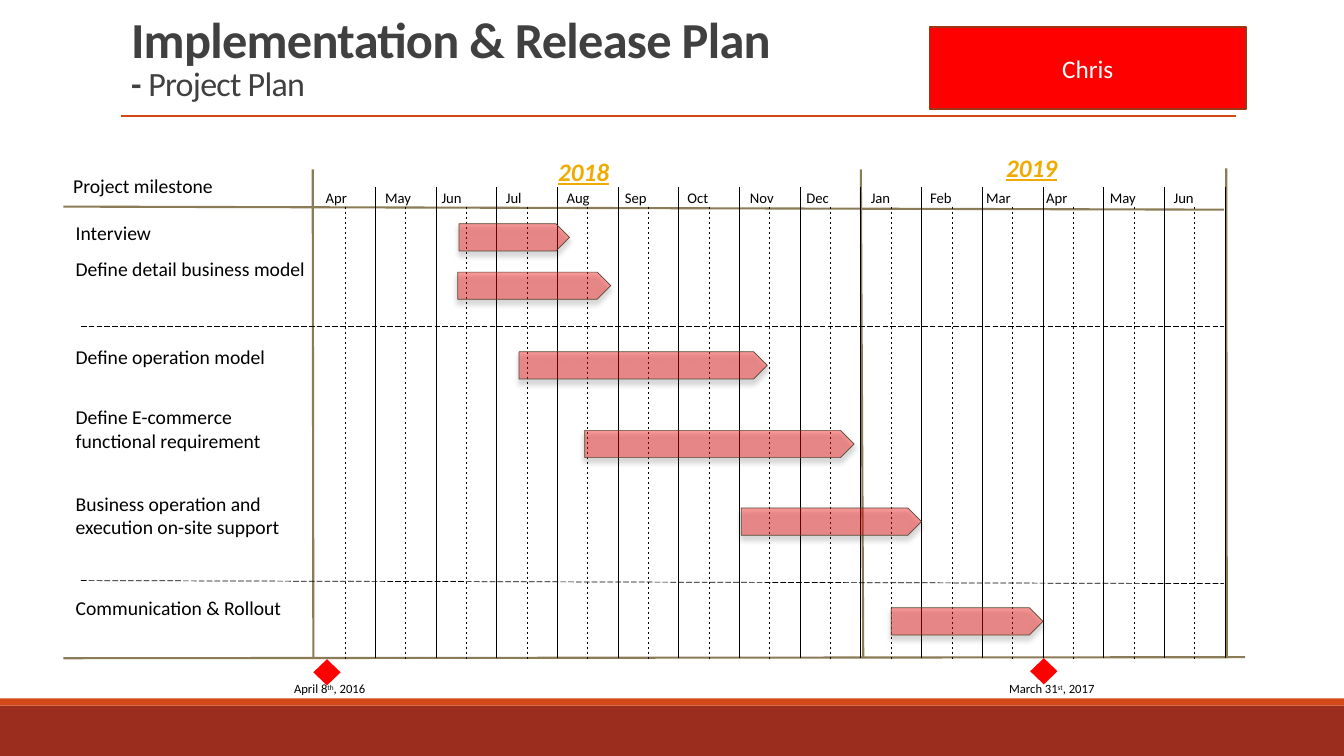
from copy import deepcopy
from dataclasses import dataclass

from lxml import etree
from pptx import Presentation, util as u
from pptx.dml.color import RGBColor
from pptx.enum import dml, shapes, text
from pptx.oxml.ns import qn


@dataclass(frozen=True)
class Theme:
    font: str = "Calibri"
    ink: str = "000000"
    heading: str = "404040"
    white: str = "FFFFFF"
    red: str = "FF0000"
    orange: str = "D34817"
    brick: str = "9B2D1F"
    owner_edge: str = "9C3511"
    axis: str = "8B7B57"
    bar_edge: str = "534733"
    year: str = "F0AB00"
    title_size: float = 36
    subtitle_size: float = 24.3
    large: float = 18
    body: float = 14
    month: float = 10.5
    caption: float = 9


THEME = Theme()
WIDTH, HEIGHT = 13.33, 7.5
ORIGIN, MONTH, ROW = 3.12, 0.602, 0.5  # inches: April 2018, one column, one row
LEFT_EDGE, FULL_WIDTH = -ORIGIN / MONTH, WIDTH / MONTH
CHART_BOTTOM = 13.06

# (month, column where its label starts)
MONTHS = [("Apr", 0.02), ("May", 1), ("Jun", 1.93), ("Jul", 2.99), ("Aug", 3.99),
          ("Sep", 4.95), ("Oct", 5.98), ("Nov", 7.01), ("Dec", 7.94), ("Jan", 9),
          ("Feb", 9.98), ("Mar", 10.9), ("Apr", 11.89), ("May", 12.94), ("Jun", 13.99)]

# (task, label row, bar row, first column, last column)
TASKS = [
    ("Interview", 4.28, 4.44, 2.38, 4.2),
    ("Define detail business model", 5, 5.4, 2.36, 4.88),
    ("Define operation model", 6.74, 6.98, 3.37, 7.46),
    ("Define E-commerce functional requirement", 7.94, 8.54, 4.45, 8.89),
    ("Business operation and execution on-site support", 9.66, 10.08, 7.03, 10),
    ("Communication & Rollout", 11.72, 12.06, 9.5, 12),
]

# (column, row) of the start and of the end
AXES = [((-4.14, 4.1), (14.98, 4.16)), ((-0.03, 3.36), (-0.02, CHART_BOTTOM)),
        ((-4.14, CHART_BOTTOM), (15.33, 13.04)), ((9, 3.36), (9.04, CHART_BOTTOM)),
        ((15.02, 3.34), (15.03, 13.04))]
SEPARATORS = [((-3.85, 6.48), (14.98, 6.48)), ((-3.85, 11.52), (14.98, 11.58))]

YEARS = [("2018", 3.85, 3), ("2019", 11.23, 2.92)]

# (date parts, caption column, diamond column, diamond row)
MILESTONES = [(("April 8", "th", ", 2016"), -0.5, -0.02, 13.08),
              (("March 31", "st", ", 2017"), 11.28, 11.79, 13.06)]


def x(column):
    return u.Inches(ORIGIN + column * MONTH)


def y(row):
    return u.Inches(row * ROW)


def place(column, row, columns, rows):
    return x(column), y(row), u.Inches(columns * MONTH), u.Inches(rows * ROW)


def write(frame, runs, align=text.PP_ALIGN.LEFT, anchor=text.MSO_ANCHOR.TOP,
          line_spacing=None, **style):
    """Fill a frame with one string, or with (string, style changes) runs."""
    frame.word_wrap = True
    frame.auto_size = text.MSO_AUTO_SIZE.NONE
    frame.vertical_anchor = anchor
    paragraph = frame.paragraphs[0]
    paragraph.alignment = align
    paragraph.line_spacing = line_spacing
    for words, changes in [(runs, {})] if isinstance(runs, str) else runs:
        look = {"size": THEME.body, "color": THEME.ink, **style, **changes}
        run = paragraph.add_run()
        run.text = words.rstrip("\n")
        font = run.font
        font.name, font.size = THEME.font, u.Pt(look["size"])
        font.color.rgb = RGBColor.from_string(look["color"])
        font.bold = look.get("bold", False)
        font.italic = look.get("italic", False)
        font.underline = look.get("underline", False)
        properties = run._r.get_or_add_rPr()
        for attribute in ("spc", "baseline"):
            if attribute in look:
                properties.set(attribute, str(look[attribute]))
        if words.endswith("\n"):
            paragraph.add_line_break()
            paragraph._p[-1].append(deepcopy(properties))


class PlanSlide:
    def __init__(self, presentation):
        self.slide = presentation.slides.add_slide(presentation.slide_layouts[5])

    def title(self, runs, box, **style):
        title = self.slide.shapes.title
        title.left, title.top, title.width, title.height = place(*box)
        write(title.text_frame, runs, **style)

    def label(self, runs, box, **style):
        write(self.slide.shapes.add_textbox(*place(*box)).text_frame, runs, **style)

    def line(self, start, end, color=THEME.ink, weight=0.5, dash=None):
        (x1, y1), (x2, y2) = start, end
        line = self.slide.shapes.add_connector(
            shapes.MSO_CONNECTOR.STRAIGHT, x(x1), y(y1), x(x2), y(y2))
        line.line.color.rgb = RGBColor.from_string(color)
        line.line.width = u.Pt(weight)
        if dash:
            line.line.dash_style = dash
        etree.SubElement(line._element.spPr, qn("a:effectLst"))

    def shape(self, kind, box, fill, edge=None, weight=1.25):
        shape = self.slide.shapes.add_shape(kind, *place(*box))
        shape.shadow.inherit = False
        shape.fill.solid()
        shape.fill.fore_color.rgb = RGBColor.from_string(fill)
        if edge:
            shape.line.color.rgb = RGBColor.from_string(edge)
            shape.line.width = u.Pt(weight)
        else:
            shape.line.fill.background()
        return shape

    def bar(self, row, start, end):
        """Add a see-through task arrow with a soft shadow below it."""
        bar = self.shape(shapes.MSO_SHAPE.PENTAGON, (start, row, end - start, 0.54),
                         THEME.red, THEME.bar_edge, 0.5)
        properties = bar._element.spPr
        color = properties.find(qn("a:solidFill"))[0]
        etree.SubElement(color, qn("a:alpha"), val="38000")
        shadow = etree.SubElement(
            properties.find(qn("a:effectLst")), qn("a:outerShdw"), blurRad=str(u.Pt(4)),
            dist=str(u.Pt(3)), dir="5400000", rotWithShape="0")
        shade = etree.SubElement(shadow, qn("a:srgbClr"), val=THEME.ink)
        etree.SubElement(shade, qn("a:alpha"), val="40000")


def draw_frame(plan):
    """Add the footer bands, the title with its rule, and the owner box."""
    rectangle = shapes.MSO_SHAPE.RECTANGLE
    plan.shape(rectangle, (LEFT_EDGE, 14, FULL_WIDTH, 1), THEME.brick)
    plan.shape(rectangle, (LEFT_EDGE, 13.86, FULL_WIDTH, 0.14), THEME.orange)
    plan.line((-3.19, 2.3), (15.18, 2.3), THEME.orange, 1)
    subtitle = {"size": THEME.subtitle_size}
    plan.title([("Implementation & Release Plan\n", {}), ("- ", subtitle),
                ("Project Plan", {**subtitle, "bold": False})],
               (-3.19, 0.54, 18.27, 1.62), anchor=text.MSO_ANCHOR.BOTTOM,
               line_spacing=0.85, size=THEME.title_size, color=THEME.heading,
               bold=True, spc=-50)
    owner = plan.shape(rectangle, (10.13, 0.54, 5.22, 1.62), THEME.red, THEME.owner_edge)
    write(owner.text_frame, "Chris", align=text.PP_ALIGN.CENTER,
          anchor=text.MSO_ANCHOR.MIDDLE, size=THEME.large, color=THEME.white)


def draw_calendar(plan):
    for start, end in AXES:
        plan.line(start, end, THEME.axis, 1.5)
    for start, end in SEPARATORS:
        plan.line(start, end, dash=dml.MSO_LINE.LONG_DASH)
    for column, (month, label_column) in enumerate(MONTHS):
        plan.line((column + 0.5, 4.1), (column + 0.5, 13.08), dash=dml.MSO_LINE.DASH)
        plan.line((column + 1, 3.71), (column + 1, CHART_BOTTOM))
        plan.label(month, (label_column, 3.64, 1.1, 0.58), size=THEME.month)
    for year, column, row in YEARS:
        plan.label(year, (column, row, 2.81, 0.8), size=THEME.large, color=THEME.year,
                   bold=True, italic=True, underline=True)


def draw_tasks(plan):
    plan.label("Project milestone", (-4.14, 3.36, 4.3, 0.68))
    for task, label_row, bar_row, start, end in TASKS:
        plan.label(task, (-4.1, label_row, 4.3, 1.14))
        plan.bar(bar_row, start, end)
    for (day, suffix, year), caption_column, column, row in MILESTONES:
        plan.shape(shapes.MSO_SHAPE.DIAMOND, (column, row, 0.45, 0.52), THEME.red)
        plan.label([(day, {}), (suffix, {"baseline": 30000}), (year, {})],
                   (caption_column, 13.42, 2.9, 0.5), size=THEME.caption)


def main():
    presentation = Presentation()
    presentation.slide_width = u.Inches(WIDTH)
    presentation.slide_height = u.Inches(HEIGHT)
    plan = PlanSlide(presentation)
    draw_frame(plan)
    draw_calendar(plan)
    draw_tasks(plan)
    presentation.save("out.pptx")


if __name__ == "__main__":
    main()
